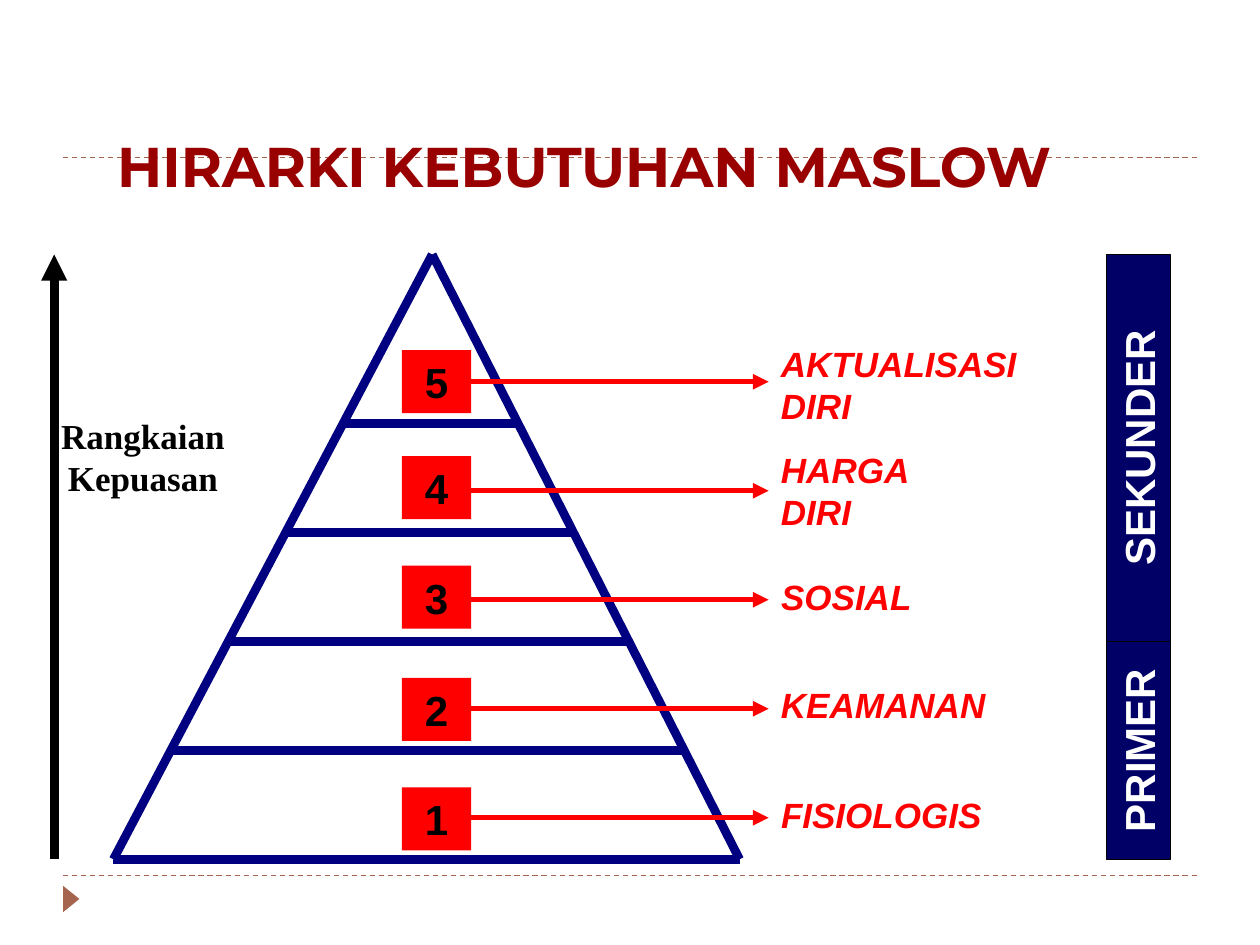
"""Build a slide of Maslow's pyramid with numbered needs and their groups."""
from lxml.etree import SubElement
from pptx import Presentation
from pptx.dml.color import RGBColor
from pptx.enum.dml import MSO_LINE
from pptx.enum.shapes import MSO_CONNECTOR, MSO_SHAPE
from pptx.enum.text import MSO_ANCHOR, PP_ALIGN
from pptx.oxml.ns import qn
from pptx.util import Inches, Pt

BROWN = RGBColor(0xA5, 0x64, 0x4E)
MAROON = RGBColor(0x99, 0x00, 0x00)
NAVY = RGBColor(0x00, 0x00, 0x80)
DARK_NAVY = RGBColor(0x00, 0x00, 0x66)
RED = RGBColor(0xFF, 0x00, 0x00)
BLACK = RGBColor(0x00, 0x00, 0x00)
WHITE = RGBColor(0xFF, 0xFF, 0xFF)

deck = Presentation()
deck.slide_width, deck.slide_height = Inches(10), Inches(7.5)
page = deck.slides.add_slide(deck.slide_layouts[5])
column, row = deck.slide_width / 100, deck.slide_height / 75


def write(box, text, font="Arial", size=20, color=BLACK, italic=False,
          align=PP_ALIGN.CENTER, anchor=MSO_ANCHOR.MIDDLE):
    frame = box.text_frame
    frame.word_wrap = True
    frame.vertical_anchor = anchor
    para = frame.paragraphs[0]
    para.alignment = align
    span = para.add_run()
    span.text = text
    span.font.name, span.font.size = font, Pt(size)
    span.font.bold, span.font.italic = True, italic
    span.font.color.rgb = color


def draw_line(start, end, color, width, arrow=False):
    line = page.shapes.add_connector(
        MSO_CONNECTOR.STRAIGHT, int(start[0] * column), int(start[1] * row),
        int(end[0] * column), int(end[1] * row))
    line.line.color.rgb = color
    line.line.width = Pt(width)
    properties = line.element.spPr
    if arrow:
        SubElement(properties.find(qn("a:ln")), qn("a:tailEnd"), type="triangle")
    SubElement(properties, qn("a:effectLst"))
    return line


for height in (69.5, 12.5):
    rule = draw_line((5, height), (95, height), BROWN, 0.75)
    rule.line.dash_style = MSO_LINE.DASH

marker = page.shapes.add_shape(
    MSO_SHAPE.ISOSCELES_TRIANGLE, int(4.6 * column), int(70.7 * row),
    int(2.1 * column), int(1.3 * row))
marker.rotation = 90
marker.shadow.inherit = False
marker.fill.solid()
marker.fill.fore_color.rgb = BROWN
marker.line.fill.background()

title = page.shapes.title
title.left, title.top = int(8.3 * column), int(8.4 * row)
title.width, title.height = int(91.7 * column), int(7.9 * row)
write(title, "HIRARKI KEBUTUHAN MASLOW", font="Montserrat", size=32,
      color=MAROON, align=PP_ALIGN.LEFT, anchor=MSO_ANCHOR.BOTTOM)
title.element.getparent().append(title.element)

apex, left_corner, right_corner = (34.3, 20.2), (9, 68.2), (58.7, 68.2)
tier = 8.65
draw_line(left_corner, apex, NAVY, 5)
draw_line(right_corner, apex, NAVY, 5)
for level in range(5):
    height = left_corner[1] - level * tier
    share = (height - apex[1]) / (left_corner[1] - apex[1])
    draw_line((apex[0] + share * (left_corner[0] - apex[0]), height),
              (apex[0] + share * (right_corner[0] - apex[0]), height), NAVY, 5)

needs = [("FISIOLOGIS", 22.8, 62.5, 4.3, 62.5), ("KEAMANAN", 23.6, 53.8, 4.3, 53.8),
         ("SOSIAL", 22.8, 45.2, 4.3, 44.9), ("HARGA DIRI", 15.7, 35.1, 7.7, 36.2),
         ("AKTUALISASI DIRI", 24.4, 26.7, 7.7, 27.8)]
for level, (need, width, top, height, square_top) in enumerate(needs):
    label = page.shapes.add_textbox(int(61 * column), int(top * row),
                                    int(width * column), int(height * row))
    write(label, need, color=RED, italic=True, align=PP_ALIGN.LEFT)
    arrow_height = 64.9 - level * tier
    draw_line((36.6, arrow_height), (61, arrow_height), RED, 3, arrow=True)
    square = page.shapes.add_shape(
        MSO_SHAPE.RECTANGLE, int(31.9 * column), int(square_top * row),
        int(5.5 * column), int(5 * row))
    square.shadow.inherit = False
    square.fill.solid()
    square.fill.fore_color.rgb = RED
    square.line.fill.background()
    write(square, str(level + 1), size=24)

draw_line((4.3, 68.2), (4.3, 20.2), BLACK, 5, arrow=True)
caption = page.shapes.add_textbox(int(2.7 * column), int(32.4 * row),
                                  int(17.3 * column), int(7.7 * row))
write(caption, "Rangkaian Kepuasan", font="Times New Roman")

for group, left, top, length in (("PRIMER", 81.7, 57, 17.3),
                                 ("SEKUNDER", 75, 33, 30.7)):
    bar = page.shapes.add_shape(
        MSO_SHAPE.RECTANGLE, int(left * column), int(top * row),
        int(length * column), int(5.1 * row))
    bar.rotation = 270
    bar.shadow.inherit = False
    bar.fill.solid()
    bar.fill.fore_color.rgb = DARK_NAVY
    bar.line.color.rgb = BLACK
    bar.line.width = Pt(0.75)
    write(bar, group, size=24, color=WHITE)

deck.save("out.pptx")
